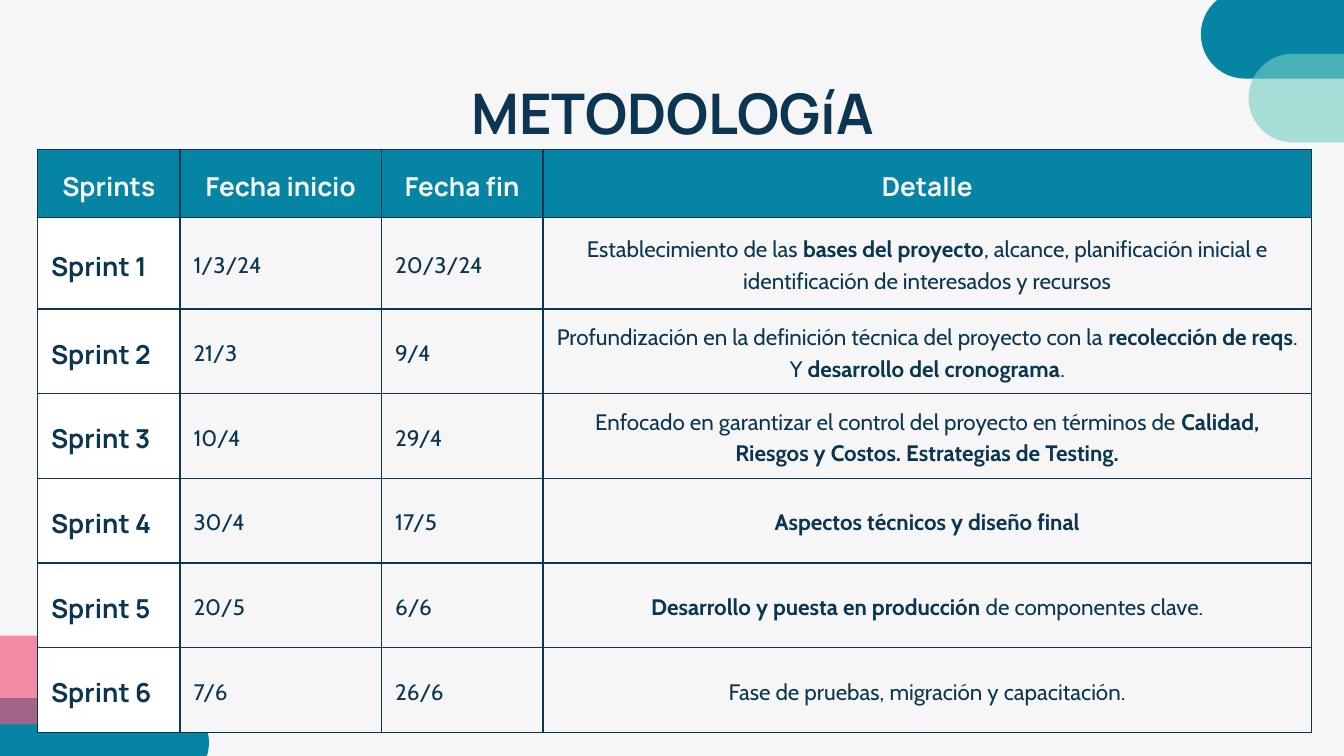
from lxml.etree import SubElement
from pptx import Presentation
from pptx.dml.color import RGBColor
from pptx.enum.shapes import MSO_SHAPE
from pptx.enum.text import MSO_ANCHOR, PP_ALIGN
from pptx.oxml.ns import qn
from pptx.util import Inches, Pt

NAVY, TEAL, MINT, PINK = "0B3550", "0584A4", "74CEC4", "F2557A"
PAPER, WHITE = "F6F6F6", "FFFFFF"
HEADERS = ["Sprints", "Fecha inicio", "Fecha fin", "Detalle"]
SPRINTS = [
    ("1/3/24", "20/3/24", "Establecimiento de las **bases del proyecto**, alcance, "
     "planificación inicial e identificación de interesados y recursos"),
    ("21/3", "9/4", "Profundización en la definición técnica del proyecto con la "
     "**recolección de reqs**. Y **desarrollo del cronograma**."),
    ("10/4", "29/4", "Enfocado en garantizar el control del proyecto en términos de "
     "**Calidad, Riesgos y Costos. Estrategias de Testing.**"),
    ("30/4", "17/5", "**Aspectos técnicos y diseño final**"),
    ("20/5", "6/6", "**Desarrollo y puesta en producción **de componentes clave."),
    ("7/6", "26/6", "Fase de pruebas, migración y capacitación."),
]
COL_WIDTHS = [1.06, 1.5, 1.2, 5.72]
ROW_HEIGHTS = [0.51, 0.68] + [0.63] * 5


def set_fill(fill, color, alpha=None):
    """Apply a solid colour, with an optional opacity in percent."""
    fill.solid()
    fill.fore_color.rgb = RGBColor.from_string(color)
    if alpha is not None:
        srgb = fill._xPr.find(".//" + qn("a:srgbClr"))
        SubElement(srgb, qn("a:alpha"), val=str(alpha * 1000))


def add_pill(s, left, top, height, rotation, color, alpha=None):
    """Add a rotated pill that decorates a corner."""
    sp = s.shapes.add_shape(MSO_SHAPE.ROUNDED_RECTANGLE, Inches(left), Inches(top),
                            Inches(0.66), Inches(height))
    sp.adjustments[0] = 0.5
    sp.rotation = rotation
    sp.shadow.inherit = False
    sp.line.fill.background()
    set_fill(sp.fill, color, alpha)


def write_text(tf, text, size=12, font="Cabin", color=NAVY, bold=False,
               align=PP_ALIGN.LEFT, spacing=None):
    """Write one paragraph in which ** switches bold on and off."""
    p = tf.paragraphs[0]
    p.alignment = align
    p.line_spacing = spacing
    for i, part in enumerate(text.split("**")):
        if part:
            r = p.add_run()
            r.text = part
            r.font.size = Pt(size)
            r.font.name = font
            r.font.bold = bold or i % 2 == 1
            r.font.color.rgb = RGBColor.from_string(color)


def add_title(s, text):
    """Add the centred slide title."""
    sp = s.shapes.add_textbox(Inches(0.79), Inches(0.52), Inches(8.43), Inches(0.63))
    tf = sp.text_frame
    tf.word_wrap = True
    tf.vertical_anchor = MSO_ANCHOR.MIDDLE
    tf.margin_left = tf.margin_right = tf.margin_top = tf.margin_bottom = Inches(0.1)
    write_text(tf, text, size=30, font="Manrope", bold=True, align=PP_ALIGN.CENTER)


def set_borders(cell, color, width):
    """Draw a solid line on all four sides of a cell."""
    tc_pr = cell._tc.get_or_add_tcPr()
    for i, side in enumerate(("a:lnL", "a:lnR", "a:lnT", "a:lnB")):
        ln = tc_pr.makeelement(qn(side), {"w": str(Pt(width))})
        SubElement(SubElement(ln, qn("a:solidFill")), qn("a:srgbClr"), val=color)
        tc_pr.insert(i, ln)


def fill_cell(cell, text, fill, margin_x=0.1, margin_y=0, **text_format):
    """Set the text, fill, margins and borders of a cell."""
    cell.vertical_anchor = MSO_ANCHOR.MIDDLE
    cell.margin_left = cell.margin_right = Inches(margin_x)
    cell.margin_top = cell.margin_bottom = Inches(margin_y)
    set_fill(cell.fill, fill)
    set_borders(cell, NAVY, 0.75)
    write_text(cell.text_frame, text, spacing=1.15, **text_format)


def add_sprint_table(s):
    """Add the table of sprints with dates and details."""
    table = s.shapes.add_table(len(ROW_HEIGHTS), len(COL_WIDTHS), Inches(0.28), Inches(1.11),
                               Inches(sum(COL_WIDTHS)), Inches(sum(ROW_HEIGHTS))).table
    for column, width in zip(table.columns, COL_WIDTHS):
        column.width = Inches(width)
    for row, height in zip(table.rows, ROW_HEIGHTS):
        row.height = Inches(height)
    heading = {"size": 14, "font": "Manrope", "bold": True}
    for i, text in enumerate(HEADERS):
        fill_cell(table.cell(0, i), text, TEAL, margin_x=0 if text == "Detalle" else 0.1,
                  margin_y=0.1, color=PAPER, align=PP_ALIGN.CENTER, **heading)
    for i, (start, end, detail) in enumerate(SPRINTS, 1):
        fill_cell(table.cell(i, 0), f"Sprint {i}", WHITE, **heading)
        fill_cell(table.cell(i, 1), start, PAPER)
        fill_cell(table.cell(i, 2), end, PAPER)
        fill_cell(table.cell(i, 3), detail, PAPER, align=PP_ALIGN.CENTER)


def main():
    """Build the slide and save it."""
    prs = Presentation()
    prs.slide_width = Inches(10)
    prs.slide_height = prs.slide_width * 9 // 16
    s = prs.slides.add_slide(prs.slide_layouts[6])
    set_fill(s.background.fill, PAPER)
    add_pill(s, 10.81, -1.95, 4.41, 270, TEAL)
    add_pill(s, 10.49, -0.8, 3.06, 270, MINT, alpha=61)
    add_pill(s, -0.98, 3.32, 4.41, 90, TEAL)
    add_pill(s, -0.42, 4.16, 1.8, 90, PINK, alpha=66)
    add_title(s, "METODOLOGíA")
    add_sprint_table(s)
    prs.save("out.pptx")


if __name__ == "__main__":
    main()
